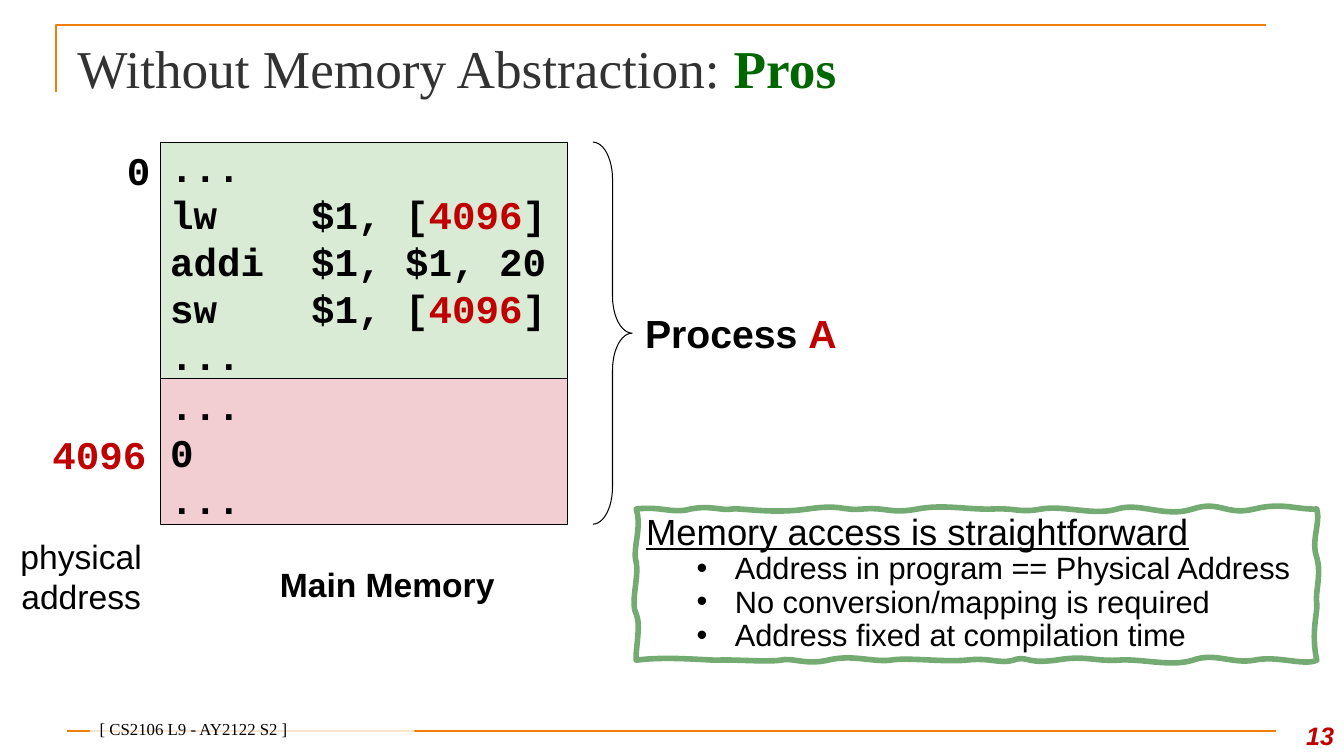
from lxml import etree
from pptx import Presentation
from pptx.dml.color import RGBColor
from pptx.enum.shapes import MSO_CONNECTOR, MSO_SHAPE
from pptx.enum.text import MSO_ANCHOR, PP_ALIGN
from pptx.oxml.ns import qn
from pptx.util import Pt

PX = 9144  # EMU, 100 px to the inch
RECTANGLE, BRACE = MSO_SHAPE.RECTANGLE, MSO_SHAPE.RIGHT_BRACE
STRAIGHT = MSO_CONNECTOR.STRAIGHT
TOP, MIDDLE, BOTTOM = MSO_ANCHOR.TOP, MSO_ANCHOR.MIDDLE, MSO_ANCHOR.BOTTOM
LEFT, CENTER, RIGHT = PP_ALIGN.LEFT, PP_ALIGN.CENTER, PP_ALIGN.RIGHT
JUSTIFY = PP_ALIGN.JUSTIFY
SANS, SERIF, MONO = "Arial", "Times New Roman", "Courier New"
COLORS = {
    "black": "000000", "white": "FFFFFF", "title": "323232", "green": "006600",
    "red": "C00000", "orange": "F07F09", "code": "D9EAD5", "data": "F2CED2",
}
CODE = [
    ["..."],
    ["lw    $1, [", ("4096", "red"), "]"],
    ["addi  $1, $1, 20"],
    ["sw    $1, [", ("4096", "red"), "]"],
    ["..."],
]
DATA = [["..."], ["0"], ["..."]]
BENEFITS = [
    "Address in program == Physical Address",
    "No conversion/mapping is required",
    "Address fixed at compilation time",
]
# Hand-drawn frame: two control points and an end point per curve, from (0, 0)
FRAME_CURVES = [
    (26, -3, 35, 5, 54, 0), (74, -4, 84, 2, 95, 0), (106, -1, 135, 5, 170, 0),
    (205, -5, 203, 2, 225, 0), (247, -2, 253, 5, 279, 0), (305, -5, 330, 1, 354, 0),
    (378, -1, 380, 4, 402, 0), (424, -4, 454, 7, 477, 0), (500, -7, 524, 9, 552, 0),
    (579, -9, 585, 7, 613, 0), (641, -7, 656, 1, 675, 0),
    (679, 13, 669, 32, 675, 48), (680, 65, 673, 84, 675, 94),
    (676, 103, 669, 122, 675, 150),
    (662, 156, 636, 145, 613, 150), (591, 154, 574, 142, 552, 150),
    (530, 157, 501, 148, 477, 150), (453, 151, 445, 145, 416, 150),
    (386, 154, 388, 145, 374, 150), (361, 154, 350, 147, 327, 150),
    (303, 152, 269, 147, 252, 150), (234, 152, 214, 144, 190, 150),
    (167, 155, 155, 147, 143, 150), (130, 152, 93, 149, 81, 150),
    (69, 150, 29, 146, 0, 150),
    (-1, 139, 5, 116, 0, 104), (-6, 93, 3, 67, 0, 53), (-4, 39, 6, 19, 0, 0),
]


def rgb(name):
    return RGBColor.from_string(COLORS[name])


def set_alpha(element, percent):
    """Make the first solid colour inside the XML element partly transparent."""
    color = next(element.iter(qn("a:srgbClr")))
    etree.SubElement(color, qn("a:alpha")).set("val", str(percent * 1000))


def write(para, parts, font, size, color="black", align=LEFT, **styles):
    """Fill a paragraph with parts: plain strings or (string, colour[, bold])."""
    para.alignment = align
    for part in parts:
        text, part_color, *bold = (part, color) if isinstance(part, str) else part
        span = para.add_run()
        span.text = text
        span.font.name, span.font.size = font, Pt(size)
        span.font.color.rgb = rgb(part_color)
        for style, value in styles.items():
            setattr(span.font, style, value)
        if bold:
            span.font.bold = bold[0]


def write_lines(shape, lines, font, size, anchor=MIDDLE, wrap=True, **styles):
    frame = shape.text_frame
    frame.word_wrap, frame.vertical_anchor = wrap, anchor
    for index, parts in enumerate(lines):
        para = frame.add_paragraph() if index else frame.paragraphs[0]
        write(para, parts, font, size, **styles)


def add_label(page, box, parts, font, size, **options):
    shape = page.shapes.add_textbox(*(PX * side for side in box))
    write_lines(shape, [parts], font, size, **options)


def add_block(page, kind, box, fill=None, line=None):
    shape = page.shapes.add_shape(kind, *(PX * side for side in box))
    shape.shadow.inherit = False
    if fill:
        shape.fill.solid()
        shape.fill.fore_color.rgb = rgb(fill)
    else:
        shape.fill.background()
    if line:
        shape.line.color.rgb, shape.line.width = rgb(line), Pt(0.75)
    else:
        shape.line.fill.background()
    return shape


def add_outline(page, points, color, weight, close):
    (x, y), *others = points
    builder = page.shapes.build_freeform(x, y, scale=PX)
    builder.add_line_segments(others, close=close)
    outline = builder.convert_to_shape()
    outline.shadow.inherit = False
    outline.fill.background()
    outline.line.color.rgb, outline.line.width = rgb(color), Pt(weight)
    return outline


def add_rule(page, start, end):
    rule = page.shapes.add_connector(STRAIGHT, *(PX * side for side in start + end))
    rule.line.color.rgb, rule.line.width = rgb("orange"), Pt(1.5)
    etree.SubElement(rule.element.spPr, qn("a:effectLst"))


def add_header(page, box):
    left, top, width, height = box
    corner = [(left, top + height), (left, top), (left + width, top)]
    add_outline(page, corner, "orange", 1.5, close=False)
    add_label(page, (left + 11, top + 3, width, 78),
              ["Without Memory Abstraction: ", ("Pros", "green", True)],
              SERIF, 38, color="title")


def add_footer(page, box):
    left, top, width, height = box
    middle = top + height // 2
    add_rule(page, (left, middle), (left + width, middle))
    add_label(page, (left + width - 11, top, 78, height), ["13"], SANS, 18,
              anchor=BOTTOM, color="red", align=RIGHT, bold=True, italic=True)
    course = add_block(page, RECTANGLE, (left + 23, middle - 12, 322, 25), "white")
    set_alpha(course.element.spPr, 80)
    write_lines(course, [["[ CS2106 L9 - AY2122 S2 ]"]], SERIF, 12, anchor=BOTTOM)


def add_memory(page, box):
    left, top, width, height = box
    code_height = 235
    split = top + code_height
    for kind, lines, y, block_height in (
            ("code", CODE, top, code_height),
            ("data", DATA, split, height - code_height)):
        block = add_block(page, RECTANGLE, (left, y, width, block_height), kind, "black")
        write_lines(block, lines, MONO, 28, wrap=False, bold=True)
    for address, color, right, y, label_height in (
            ("0", "black", left, top, 55), ("4096", "red", left - 4, split + 34, 80)):
        add_label(page, (right - 120, y, 120, label_height), [address], MONO, 28,
                  wrap=False, color=color, align=RIGHT, bold=True)
    bottom = top + height
    add_label(page, (left - 158, bottom, 159, 103), ["physical address"],
              SANS, 24, align=CENTER)
    add_label(page, (left + 101, bottom + 25, 248, 69), ["Main Memory"],
              SANS, 24, wrap=False, align=CENTER, bold=True)


def add_process(page, box):
    left, top, width, height = box
    brace = add_block(page, BRACE, (left, top, 39, height), line="black")
    brace.adjustments[0], brace.adjustments[1] = 0.944, 0.5
    add_label(page, (left + 42, top + 161, width - 42, 57),
              ["Process ", ("A", "red")], SANS, 28, anchor=TOP, bold=True)


def bend_segments(outline, curves):
    """Turn the straight segments of a freeform into cubic curves."""
    for segment, curve in zip(list(outline.element.iter(qn("a:lnTo"))), curves):
        bend = etree.Element(qn("a:cubicBezTo"))
        for x, y in zip(curve[::2], curve[1::2]):
            point = etree.SubElement(bend, qn("a:pt"))
            point.set("x", str(x))
            point.set("y", str(y))
        segment.getparent().replace(segment, bend)


def add_bullet(para):
    properties = para._p.get_or_add_pPr()
    properties.set("lvl", "1")
    properties.set("marL", str(88 * PX))
    properties.set("indent", str(-38 * PX))
    etree.SubElement(properties, qn("a:buFont")).set("typeface", SANS)
    etree.SubElement(properties, qn("a:buChar")).set("char", "•")


def add_benefits(page, left, top):
    points = [(left, top)] + [(left + curve[4], top + curve[5]) for curve in FRAME_CURVES]
    note = add_outline(page, points, "green", 4, close=True)
    bend_segments(note, FRAME_CURVES)
    set_alpha(note.line._ln, 54)
    write_lines(note, [["Memory access is straightforward"]], SANS, 26,
                anchor=TOP, align=JUSTIFY, underline=True)
    for benefit in BENEFITS:
        para = note.text_frame.add_paragraph()
        add_bullet(para)
        write(para, [benefit], SANS, 22)
    for para in note.text_frame.paragraphs:
        para.line_spacing = 0.9


def main():
    deck = Presentation()
    deck.slide_width, deck.slide_height = 1333 * PX, 750 * PX
    page = deck.slides.add_slide(deck.slide_layouts[6])
    add_header(page, (56, 25, 1200, 66))
    add_footer(page, (66, 700, 1200, 50))
    add_memory(page, (159, 141, 404, 379))
    add_process(page, (588, 141, 271, 379))
    add_benefits(page, 631, 505)
    deck.save("out.pptx")


if __name__ == "__main__":
    main()
